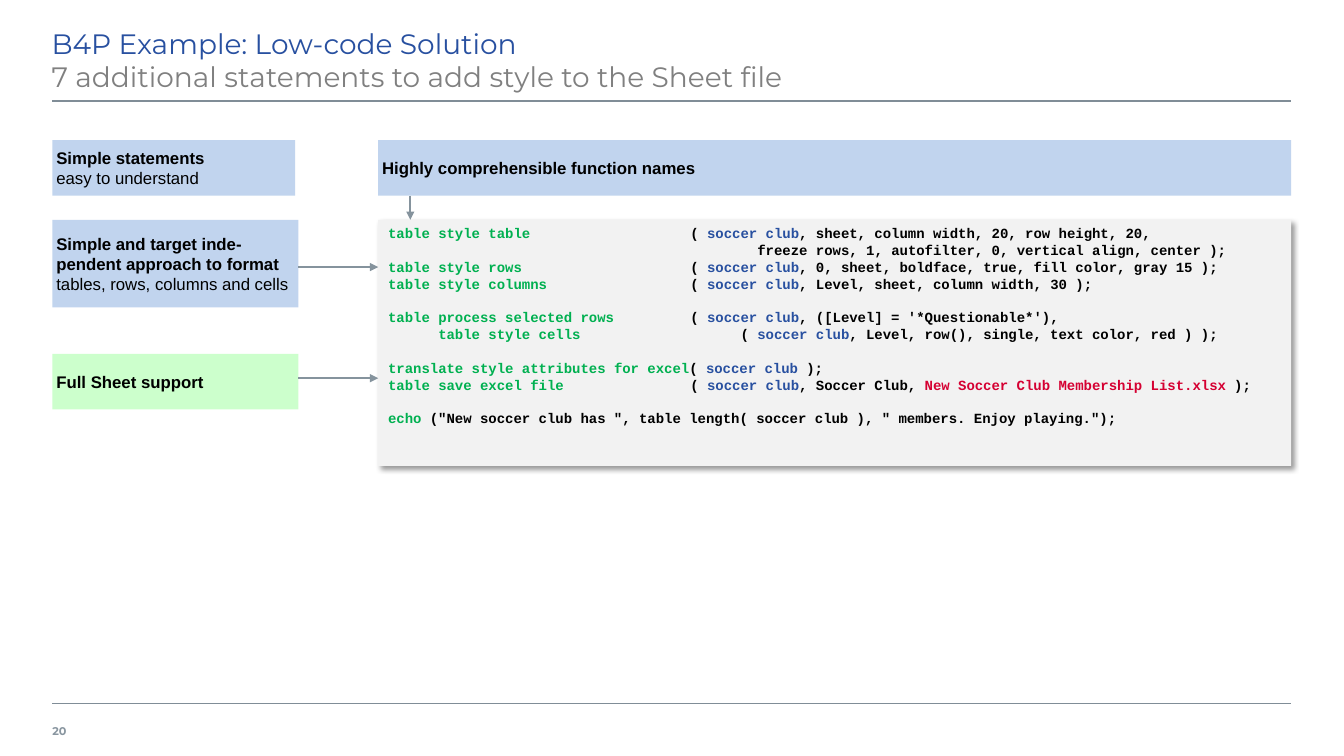
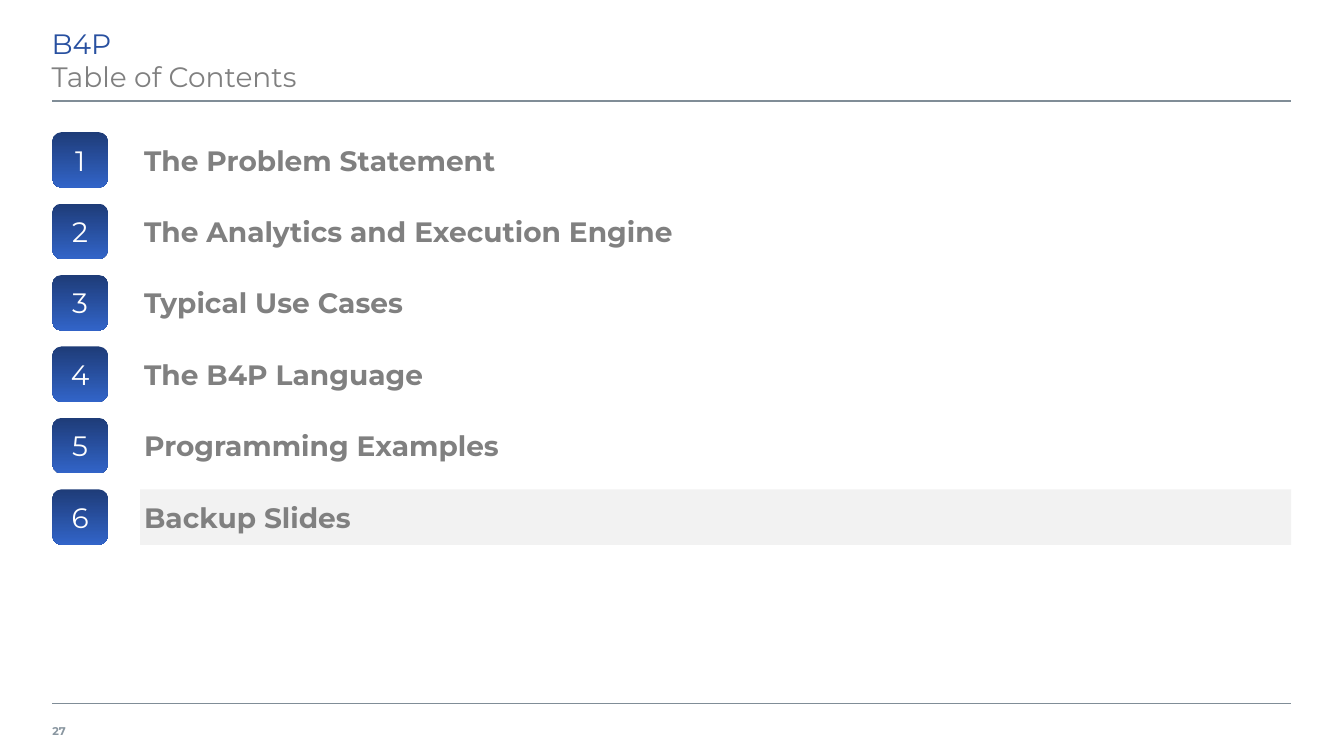
from lxml import etree
from pptx import Presentation
from pptx.dml.color import RGBColor
from pptx.enum import shapes, text
from pptx.oxml import ns
from pptx.util import Cm, Pt

HUES = {
    "blue": "2850A0", "gray": "808080", "rule": "808D97", "page": "8996A0",
    "arrow": "85939D", "sky": "C1D4EE", "mint": "CCFFCC", "pale": "F2F2F2",
    "ink": "000000", "green": "00B050", "red": "D50032", "white": "FFFFFF",
    "dark": "1E3C78", "light": "3264C8",
}
LEFT, RIGHT = 1.32, 32.54
ROW = 1.4
PAD = (0.1, 0.1, 0.1, 0.1)
RECT = shapes.MSO_SHAPE.RECTANGLE
MID = text.MSO_ANCHOR.MIDDLE
TOP = text.MSO_ANCHOR.TOP
ORDER = ("green", "ink", "blue", "ink", "red", "ink")
CODE = [
    (0, "table style table", "\t( ", "soccer club",
     ", sheet, column width, 20, row height, 20,"),
    (0, "", "\t        freeze rows, 1, autofilter, 0, vertical align, center );"),
    (0, "table style rows", "\t( ", "soccer club",
     ", 0, sheet, boldface, true, fill color, gray 15 );"),
    (0, "table style columns", "\t( ", "soccer club",
     ", Level, sheet, column width, 30 );"),
    (12, "table process selected rows", "\t( ", "soccer club",
     ", ([Level] = '*Questionable*'),"),
    (0, "      table style cells", "\t      ( ", "soccer club",
     ", Level, row(), single, text color, red ) );"),
    (12, "translate style attributes for excel", "( ", "soccer club", " );"),
    (0, "table save excel file", "\t( ", "soccer club", ", Soccer Club, ",
     "New Soccer Club Membership List.xlsx", " );"),
    (12, "echo ", '("New soccer club has ", table length( soccer club ), '
     '" members. Enjoy playing.");'),
]
TOPICS = ["The Problem Statement", "The Analytics and Execution Engine",
          "Typical Use Cases", "The B4P Language", "Programming Examples",
          "Backup Slides"]


def rgb(hue):
    """Return the colour of a named hue."""
    return RGBColor.from_string(HUES[hue])


def style(run, size, hue, bold=False, face="Montserrat"):
    """Format one run."""
    font = run.font
    font.size, font.bold, font.name = Pt(size), bold, face
    font.color.rgb = rgb(hue)


def setup(shape, pad, anchor):
    """Set insets, wrapping and anchor, and return the text frame."""
    frame = shape.text_frame
    frame.word_wrap = True
    frame.vertical_anchor = anchor
    (frame.margin_left, frame.margin_top,
     frame.margin_right, frame.margin_bottom) = map(Cm, pad)
    return frame


def write(shape, lines, pad=PAD, anchor=MID, align=text.PP_ALIGN.LEFT):
    """Write one paragraph for each (words, format) pair."""
    frame = setup(shape, pad, anchor)
    frame.text = "\n".join(words for words, _ in lines)
    for para, (_, form) in zip(frame.paragraphs, lines):
        para.alignment = align
        style(para.runs[0], *form)


def block(slide, box, hue=None, kind=RECT):
    """Add a borderless shape, filled if a hue is given."""
    shape = slide.shapes.add_shape(kind, *map(Cm, box))
    shape.shadow.inherit = False
    shape.line.fill.background()
    if hue:
        shape.fill.solid()
        shape.fill.fore_color.rgb = rgb(hue)
    return shape


def field(slide, box, lines, **opts):
    """Add a text box."""
    write(slide.shapes.add_textbox(*map(Cm, box)), lines, **opts)


def line(slide, ends, hue, width, head=False):
    """Add a straight line, with an arrowhead if wanted."""
    link = slide.shapes.add_connector(
        shapes.MSO_CONNECTOR.STRAIGHT, *map(Cm, ends))
    link.line.color.rgb = rgb(hue)
    link.line.width = Pt(width)
    if head:
        etree.SubElement(link.line._get_or_add_ln(), ns.qn("a:tailEnd"),
                         type="triangle", w="med", len="med")
    etree.SubElement(link._element.spPr, ns.qn("a:effectLst"))


def page(deck, title, sub, number):
    """Add a slide with its title, rules and page number."""
    slide = deck.slides.add_slide(deck.slide_layouts[6])
    for y in (2.55, 17.73):
        line(slide, (LEFT, y, RIGHT, y), "rule", 1)
    field(slide, (LEFT, 17.93, 1.2, 1), [(number, (8, "page", True))],
          pad=(0, 0.13, 0, 0.13))
    field(slide, (1.3, 0.53, 31.2, 2), [(title, (20, "blue")), (sub, (20, "gray"))],
          pad=(0, 0.13, 0.25, 0.13), anchor=TOP)
    return slide


def label(slide, box, hue, head, note=None):
    """Add a coloured label with a bold heading and a plain note."""
    lines = [(head, (12, "ink", True, "Arial"))]
    if note:
        lines.append((note, (12, "ink", False, "Arial")))
    write(block(slide, box, hue), lines)


def shade(shape):
    """Give a shape a soft shadow to the lower right."""
    drop = etree.SubElement(
        shape._element.spPr.find(ns.qn("a:effectLst")), ns.qn("a:outerShdw"),
        blurRad=str(Pt(4)), dist=str(Pt(3)), dir="2700000",
        algn="tl", rotWithShape="0")
    tone = etree.SubElement(drop, ns.qn("a:srgbClr"), val=HUES["ink"])
    etree.SubElement(tone, ns.qn("a:alpha"), val="40000")


def listing(slide, box):
    """Add the code panel, with arguments aligned at one tab stop."""
    panel = block(slide, box, "pale")
    shade(panel)
    frame = setup(panel, (0.25, 0.13, 0.25, 0.13), TOP)
    for i, (gap, *parts) in enumerate(CODE):
        para = frame.add_paragraph() if i else frame.paragraphs[0]
        tabs = etree.SubElement(para._p.get_or_add_pPr(), ns.qn("a:tabLst"))
        etree.SubElement(tabs, ns.qn("a:tab"), pos=str(Cm(7.62)), algn="l")
        para.alignment = text.PP_ALIGN.LEFT
        para.line_spacing = Pt(12)
        if gap:
            para.space_before = Pt(gap)
        for hue, words in zip(ORDER, parts):
            if words:
                run = para.add_run()
                run.text = words
                style(run, 10, hue, True, "Courier New")


def example(deck):
    """Build the code example slide."""
    slide = page(deck, "B4P Example: Low-code Solution",
                 "7 additional statements to add style to the Sheet file", "20")
    x, y, top = 9.53, 3.53, 5.54
    wide, side = RIGHT - x, 6.2
    label(slide, (LEFT, y, 6.12, ROW), "sky",
          "Simple statements", "easy to understand")
    label(slide, (x, y, wide, ROW), "sky", "Highly comprehensible function names")
    label(slide, (LEFT, top, side, 2.21), "sky",
          "Simple and target inde-pendent approach to format",
          "tables, rows, columns and cells")
    label(slide, (LEFT, 8.92, side, ROW), "mint", "Full Sheet support")
    listing(slide, (x, top, wide, 6.2))
    for ends in ((LEFT + side, 6.73, x, 6.73), (LEFT + side, 9.53, x, 9.53),
                 (10.34, y + ROW, 10.34, top)):
        line(slide, ends, "arrow", 1.5, True)


def topic(slide, box, number, name, active):
    """Add a numbered topic row, shaded when active."""
    x, y, wide, high = box
    badge = block(slide, (x, y, high, high),
                  kind=shapes.MSO_SHAPE.ROUNDED_RECTANGLE)
    badge.fill.gradient()
    badge.fill.gradient_angle = 270
    for stop, hue in zip(badge.fill.gradient_stops, ("dark", "light")):
        stop.color.rgb = rgb(hue)
    write(badge, [(str(number), (20, "white"))], align=text.PP_ALIGN.CENTER)
    lead = 2.21
    area = (x + lead, y, wide - lead, high)
    lines = [(name, (20, "gray", True))]
    if active:
        write(block(slide, area, "pale"), lines)
    else:
        field(slide, area, lines)


def contents(deck):
    """Build the table of contents slide."""
    slide = page(deck, "B4P", "Table of Contents", "27")
    for i, name in enumerate(TOPICS):
        topic(slide, (LEFT, 3.33 + 1.8 * i, RIGHT - LEFT, ROW),
              i + 1, name, name == "Backup Slides")


def main():
    """Build and save the deck."""
    deck = Presentation()
    deck.slide_width, deck.slide_height = Cm(33.87), Cm(19.05)
    example(deck)
    contents(deck)
    deck.save("out.pptx")


if __name__ == "__main__":
    main()
